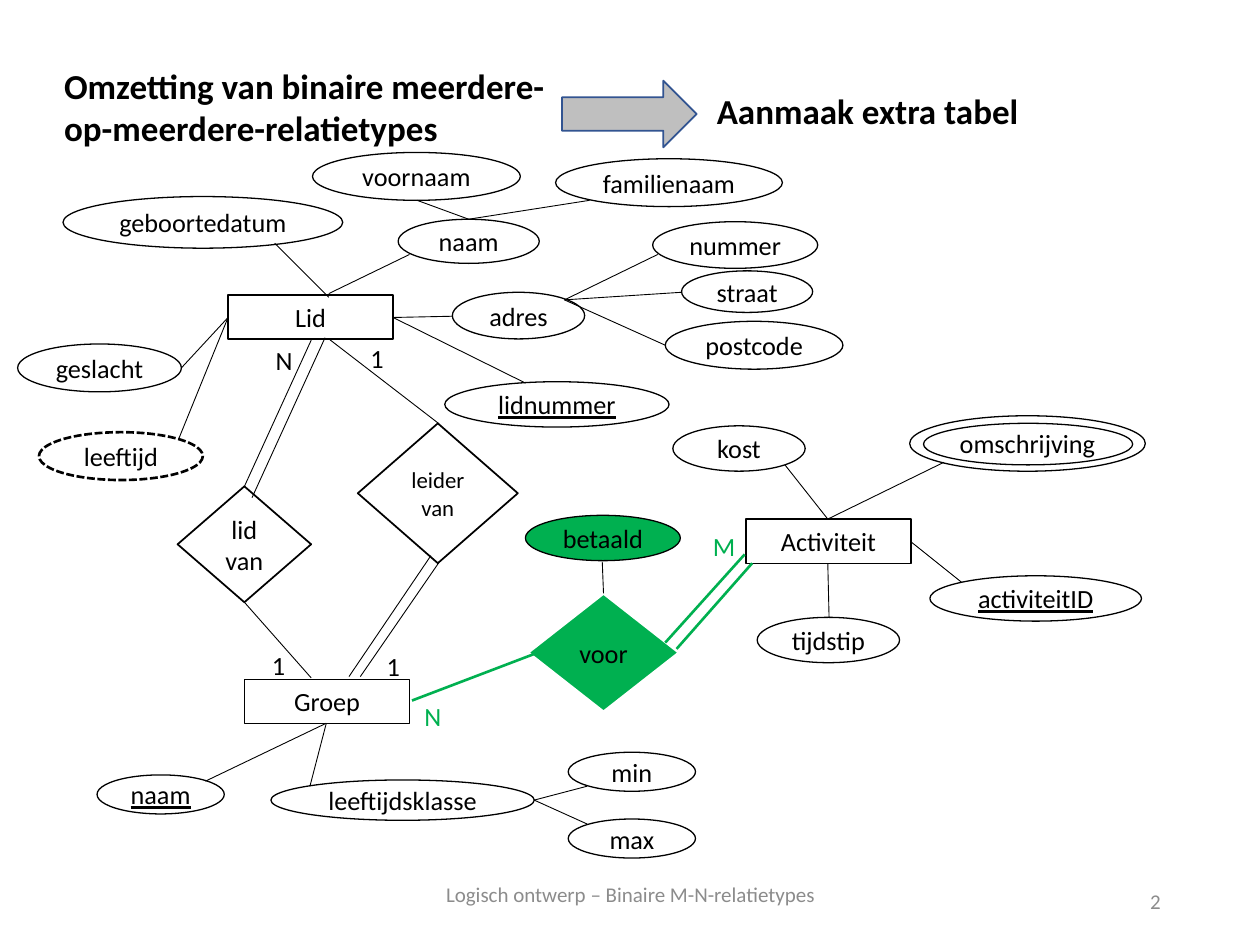
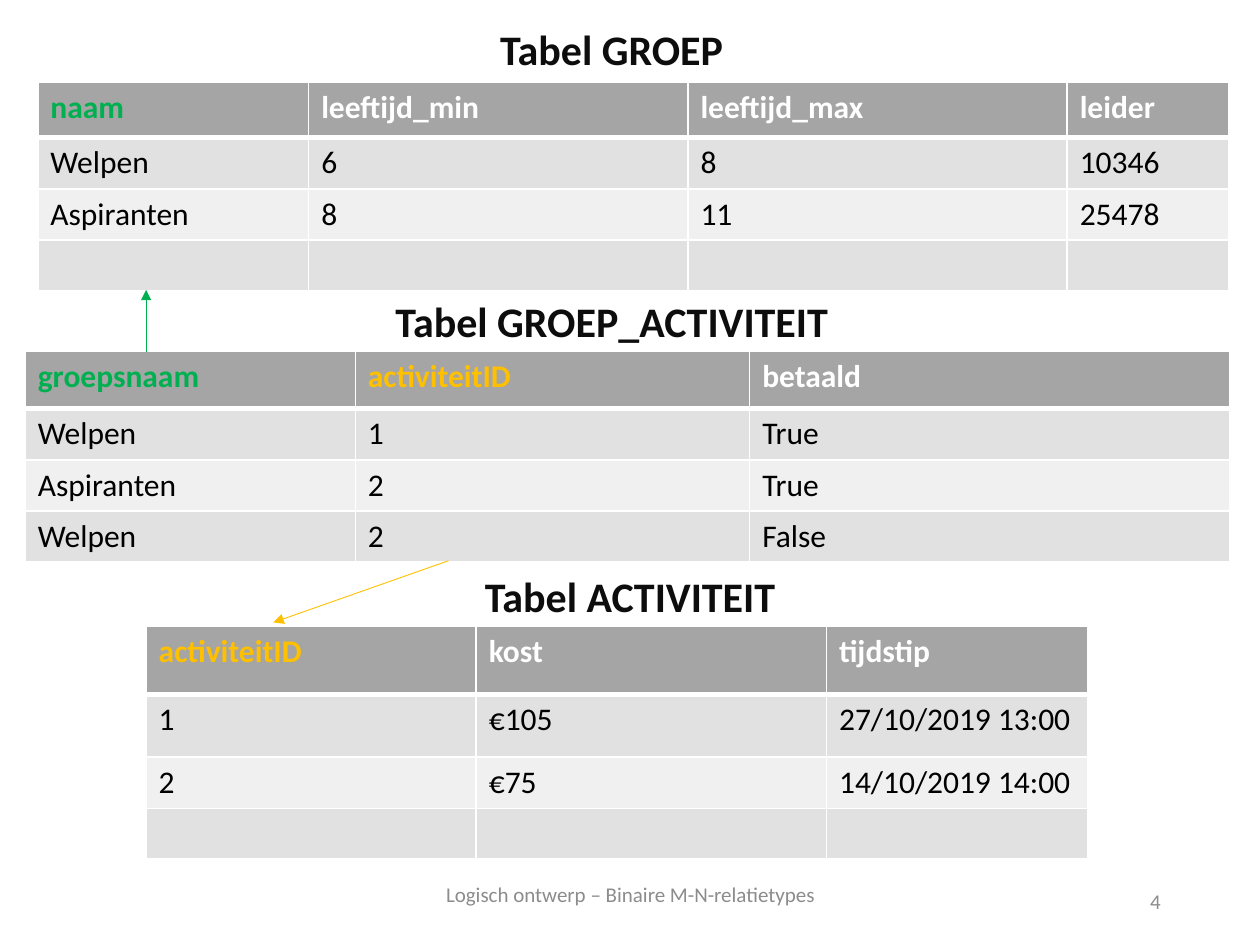
import lxml.etree
import pptx
import pptx.dml.color
import pptx.enum.dml
import pptx.enum.shapes
import pptx.enum.text
import pptx.oxml.ns
import pptx.util

RGB = pptx.dml.color.RGBColor
BLACK = RGB(0x00, 0x00, 0x00)
WHITE = RGB(0xFF, 0xFF, 0xFF)
INK = RGB(0x0D, 0x0D, 0x0D)
GREEN = RGB(0x00, 0xB0, 0x50)
GOLD = RGB(0xFF, 0xC0, 0x00)
BLUE = RGB(0x32, 0x54, 0x91)
SILVER = RGB(0xBF, 0xBF, 0xBF)
GREY = RGB(0x8C, 0x8C, 0x8C)
HEAD = RGB(0xA5, 0xA5, 0xA5)
BANDS = [RGB(0xE1, 0xE1, 0xE1), RGB(0xF0, 0xF0, 0xF0)]

FONT = "Calibri"
FOOTER = "Logisch ontwerp – Binaire M-N-relatietypes"
FORM = pptx.enum.shapes.MSO_SHAPE
OVAL, BOX, GEM = FORM.OVAL, FORM.RECTANGLE, FORM.DIAMOND
ALIGN = pptx.enum.text.PP_ALIGN
MIDDLE = pptx.enum.text.MSO_ANCHOR.MIDDLE
qn = pptx.oxml.ns.qn


def write(frame, text, size=15, color=BLACK, bold=False, under=False,
          align=None, anchor=None):
    if anchor is not None:
        frame.vertical_anchor = anchor
    para = frame.paragraphs[0]
    para.alignment = align
    run = para.add_run()
    run.text = text
    font = run.font
    font.name, font.size, font.bold = FONT, pptx.util.Pt(size), bold
    font.underline = under or None
    font.color.rgb = color


def link(slide, ends, color=BLACK, width=0.5, arrow=False):
    line = slide.shapes.add_connector(
        pptx.enum.shapes.MSO_CONNECTOR.STRAIGHT, *[int(UNIT * v) for v in ends])
    line.line.color.rgb = color
    line.line.width = pptx.util.Pt(width)
    if arrow:
        lxml.etree.SubElement(line.line._get_or_add_ln(), qn("a:tailEnd"),
                              type="triangle")
    lxml.etree.SubElement(line._element.spPr, qn("a:effectLst"))


# Grid of 100 columns by 75 rows
deck = pptx.Presentation()
deck.slide_width, deck.slide_height = pptx.util.Inches(10), pptx.util.Inches(7.5)
UNIT = deck.slide_width // 100
model, tables = [deck.slides.add_slide(deck.slide_layouts[6]) for _ in range(2)]

# Entities, attributes and relations: form, text, place, options
nodes = [
    (BOX, "Lid", (18.1, 23.4, 13.1, 3.5), {}),
    (BOX, "Groep", (19.4, 53.9, 13.1, 3.5), {}),
    (BOX, "Activiteit", (59.2, 41.2, 13.1, 3.5), {}),
    (OVAL, "voornaam", (24.8, 12.1, 16.5, 3.8), {}),
    (OVAL, "familienaam", (44.1, 12.6, 18, 3.8), {}),
    (OVAL, "geboortedatum", (5, 15.6, 22.2, 4.1), {}),
    (OVAL, "naam", (31.6, 17.4, 11.2, 3.5), {}),
    (OVAL, "nummer", (51.8, 17.6, 13.1, 3.7), {}),
    (OVAL, "straat", (54.1, 21.5, 10.4, 3.3), {}),
    (OVAL, "postcode", (52.8, 25.5, 14.1, 3.8), {}),
    (OVAL, "adres", (35.9, 23.2, 10.5, 3.7), {}),
    (OVAL, "geslacht", (1.4, 27.3, 13, 3.8), {}),
    (OVAL, "leeftijd", (3.1, 34.3, 13, 3.8), {}),
    (OVAL, "lidnummer", (35.3, 30.3, 17.8, 3.6), {"under": True}),
    (OVAL, "naam", (7.7, 61.5, 10.1, 3.1), {"under": True}),
    (OVAL, "leeftijdsklasse", (21.5, 61.9, 20.9, 3.2), {}),
    (OVAL, "min", (45.1, 59.7, 10.1, 3.1), {}),
    (OVAL, "max", (45.1, 65, 10.1, 3.1), {}),
    (OVAL, "betaald", (41.7, 40.9, 12.3, 3.6), {}),
    (OVAL, "kost", (53.4, 33.8, 10.5, 3.6), {}),
    (OVAL, "tijdstip", (60.1, 49, 11.3, 3.6), {}),
    (OVAL, "activiteitID", (73.8, 45.7, 16.8, 3.6), {"under": True}),
    (OVAL, "omschrijving", (72.2, 33, 18.7, 4.4), {}),
    (OVAL, "", (73.3, 33.6, 16.6, 3.3), {}),
    (GEM, "lid van", (14.1, 38.6, 10.6, 9.2), {}),
    (GEM, "leider van", (28.4, 33.6, 12.7, 11.1), {"size": 13}),
    (GEM, "voor", (41.9, 47.1, 12, 9.4), {}),
    (FORM.RIGHT_ARROW, "", (44.6, 6.4, 10.7, 5.3), {}),
]
for form, text, at, look in nodes:
    node = model.shapes.add_shape(form, *[int(UNIT * v) for v in at])
    node.shadow.inherit = False
    node.fill.solid()
    node.fill.fore_color.rgb = GREEN if text in ("voor", "betaald") else WHITE
    node.line.color.rgb = BLACK
    node.line.width = pptx.util.Pt(1 if form == GEM else 0.75)
    if text:
        frame = node.text_frame
        frame.word_wrap = True
        frame.margin_left = frame.margin_right = 0
        frame.margin_top = frame.margin_bottom = 0
        write(frame, text, align=ALIGN.CENTER, anchor=MIDDLE, **look)
    elif form == OVAL:
        node.fill.background()
    else:
        node.fill.fore_color.rgb = SILVER
        node.line.color.rgb = BLUE
        node.line.width = pptx.util.Pt(1)
    if text == "leeftijd":
        node.line.width = pptx.util.Pt(1.5)
        node.line.dash_style = pptx.enum.dml.MSO_LINE.SQUARE_DOT
    if text == "voor":
        node.line.color.rgb = WHITE
        node.line.width = pptx.util.Pt(1.5)

# Links around Lid, Groep and Activiteit
for ends in [
    (33.1, 15.9, 37.2, 17.4), (46.8, 15.9, 37.2, 17.4),
    (32.5, 20.2, 26.1, 23.3), (21.8, 19.3, 26.1, 23.6),
    (54.1, 23.2, 44.8, 23.8), (52.8, 27.4, 44.8, 23.8),
    (44.8, 23.8, 52.2, 20.2), (31.2, 25.2, 35.9, 25.1),
    (14.4, 29.2, 18.1, 25.2), (14.2, 34.8, 18.1, 25.2),
    (41.7, 30.4, 31.2, 25.2), (26.1, 26.9, 34.8, 33.6),
    (19.4, 38.6, 24.7, 27), (20, 39.5, 25.8, 26.8),
    (24.7, 53.8, 19.4, 47.8), (34.8, 44.7, 28.6, 53.7),
    (34.2, 44.1, 27.7, 53.7), (25.9, 57.4, 16.3, 62),
    (24.6, 62.4, 25.9, 57.4), (46.6, 62.4, 42.4, 63.5),
    (46.6, 65.4, 42.4, 63.5), (47.8, 44.6, 47.9, 47.1),
    (74.9, 36.7, 65.7, 41.2), (62.3, 36.9, 65.7, 41.2),
    (65.8, 49, 65.7, 44.7), (76.3, 46.2, 72.3, 43),
]:
    link(model, ends)
for ends in [(43.2, 51.6, 32.7, 55.6), (59.7, 44.7, 53.7, 51.5),
             (59.1, 44, 52.8, 51)]:
    link(model, ends, GREEN, 1.5)

# Tables: place, column widths, row heights, head colours, rows
grids = [
    ((3, 6.5), (21.5, 30.1, 30.1, 12.8), (4.4, 4.1, 4, 4),
     (GREEN, WHITE, WHITE, WHITE),
     [("naam", "leeftijd_min", "leeftijd_max", "leider"),
      ("Welpen", "6", "8", "10346"),
      ("Aspiranten", "8", "11", "25478"),
      ("", "", "", "")]),
    ((2, 27.9), (26.2, 31.3, 38.1), (4.5, 4.1, 4, 4),
     (GREEN, GOLD, WHITE),
     [("groepsnaam", "activiteitID", "betaald"),
      ("Welpen", "1", "True"),
      ("Aspiranten", "2", "True"),
      ("Welpen", "2", "False")]),
    ((11.6, 49.7), (26.2, 27.8, 20.7), (5.4, 5, 4, 4),
     (GOLD, WHITE, WHITE),
     [("activiteitID", "kost", "tijdstip"),
      ("1", "€105", "27/10/2019 13:00"),
      ("2", "€75", "14/10/2019 14:00"),
      ("", "", "")]),
]
for at, wide, high, heads, rows in grids:
    area = [int(UNIT * v) for v in (*at, sum(wide), sum(high))]
    grid = tables.shapes.add_table(len(rows), len(wide), *area).table
    for col, size in zip(grid.columns, wide):
        col.width = int(UNIT * size)
    for r, (row, size) in enumerate(zip(rows, high)):
        grid.rows[r].height = int(UNIT * size)
        for c, text in enumerate(row):
            cell = grid.cell(r, c)
            cell.fill.solid()
            cell.fill.fore_color.rgb = BANDS[(r - 1) % 2] if r else HEAD
            write(cell.text_frame, text, size=18, bold=r == 0,
                  color=BLACK if r else heads[c])
            # White borders, thick below the head
            props = cell._tc.get_or_add_tcPr()
            for i, side in enumerate("LRTB"):
                thick = (r, side) in ((0, "B"), (1, "T"))
                edge = lxml.etree.Element(
                    qn("a:ln" + side), w=str(pptx.util.Pt(3 if thick else 1)))
                fill = lxml.etree.SubElement(edge, qn("a:solidFill"))
                lxml.etree.SubElement(fill, qn("a:srgbClr"), val=str(WHITE))
                props.insert(i, edge)

# Arrows from foreign keys to their tables
link(tables, (35.6, 44.5, 21.7, 49.4), GOLD, arrow=True)
link(tables, (11.6, 27.9, 11.6, 23), GREEN, arrow=True)

# Titles, cardinalities and footers
title = {"size": 20, "bold": True}
name = {"size": 24, "bold": True, "color": INK}
foot = {"size": 12, "color": GREY, "anchor": MIDDLE}
labels = [
    (model, "Omzetting van binaire meerdere-op-meerdere-relatietypes",
     (4.1, 4.6, 42.2, 7.7), title),
    (model, "Aanmaak extra tabel", (55.9, 6.6, 42.1, 4.4), title),
    (model, "N", (20.9, 26.8, 3.3, 3.5), {}),
    (model, "1", (28.4, 26.7, 3.1, 3.5), {}),
    (model, "1", (20.6, 51, 3.1, 3.5), {}),
    (model, "1", (29.7, 51.1, 3.1, 3.5), {}),
    (model, "N", (32.7, 55.1, 5, 3.5), {"color": GREEN}),
    (model, "M", (55.6, 41.6, 4.9, 3.5), {"color": GREEN}),
    (tables, "Tabel GROEP", (38.7, 1.4, 22.1, 5), name),
    (tables, "Tabel GROEP_ACTIVITEIT", (30.4, 23, 40.2, 5), name),
    (tables, "Tabel ACTIVITEIT", (37.5, 44.8, 29.4, 5), name),
]
for slide, number in ((model, "2"), (tables, "4")):
    labels += [
        (slide, FOOTER, (25.5, 69, 49.1, 4), {**foot, "align": ALIGN.CENTER}),
        (slide, number, (70.6, 69.5, 22.5, 4), {**foot, "align": ALIGN.RIGHT}),
    ]
for slide, text, at, look in labels:
    frame = slide.shapes.add_textbox(*[int(UNIT * v) for v in at]).text_frame
    frame.word_wrap = True
    write(frame, text, **look)

deck.save("out.pptx")
